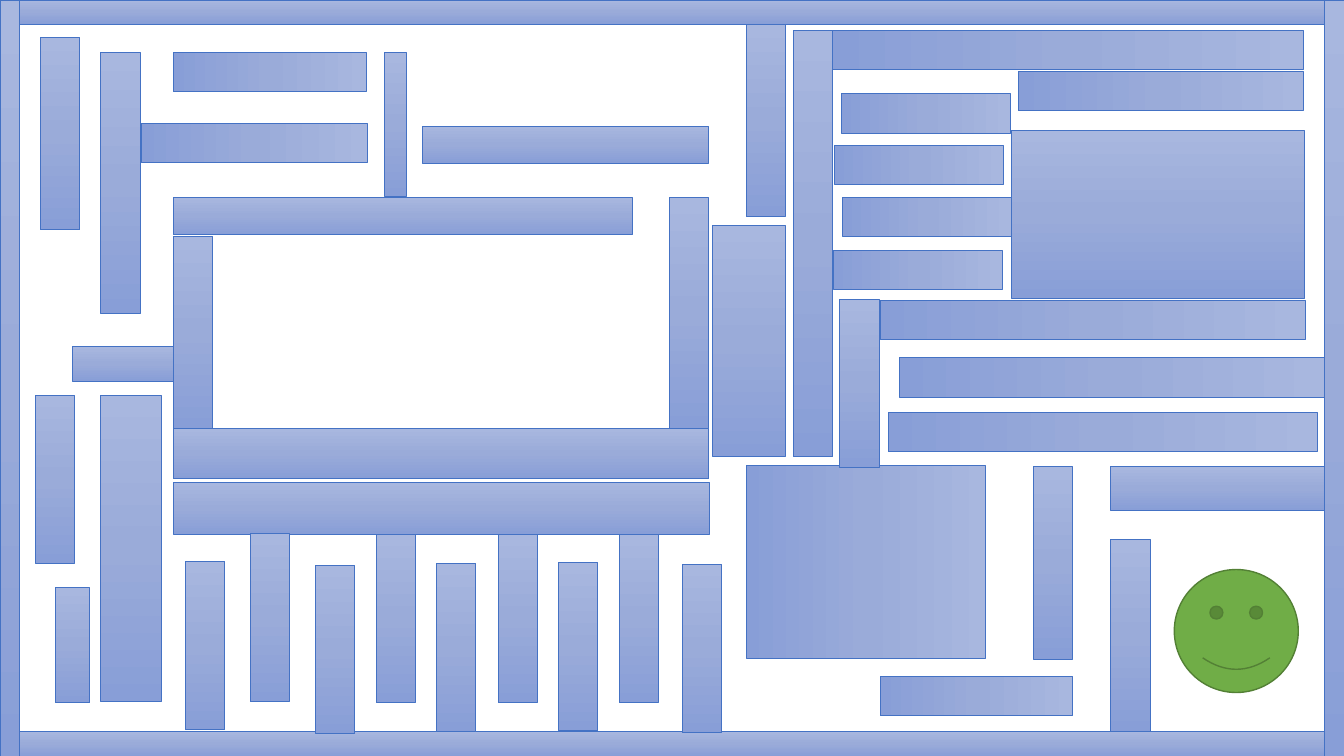
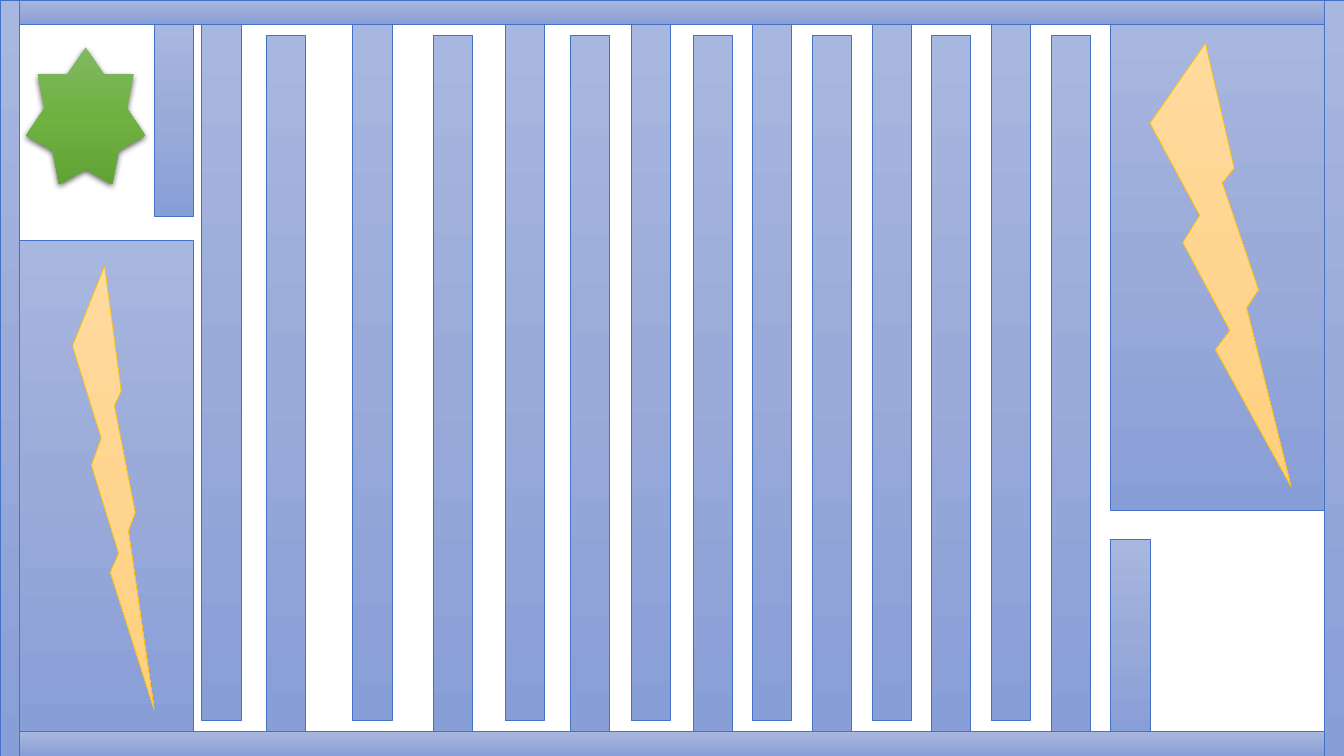
import copy
import itertools

import lxml.etree
import pptx
import pptx.dml.color
import pptx.enum.shapes
import pptx.oxml.ns
import pptx.util

RGB = pptx.dml.color.RGBColor
KIND = pptx.enum.shapes.MSO_SHAPE
qn = pptx.oxml.ns.qn

BLUES = [RGB(0xA8, 0xB7, 0xDF), RGB(0x9A, 0xAB, 0xD9), RGB(0x88, 0x9E, 0xD7)]
GOLDS = [RGB(0xFF, 0xDB, 0x9E), RGB(0xFF, 0xD5, 0x90), RGB(0xFF, 0xD0, 0x7C)]
GREENS = [RGB(0x81, 0xB8, 0x61), RGB(0x6F, 0xB2, 0x42), RGB(0x62, 0xA3, 0x36)]
BLUE = RGB(0x44, 0x72, 0xC4)
GOLD = RGB(0xFF, 0xC0, 0x00)
GREEN = RGB(0x70, 0xAD, 0x47)
MOSS = RGB(0x53, 0x80, 0x35)
BLACK = RGB(0, 0, 0)

COLS, ROWS = 133.33, 75
CELL = pptx.util.Inches(0.1)
SIDE, EDGE = 1.9, 2.4
BAR = 3.9


class Maze:
    def __init__(self):
        self.deck = pptx.Presentation()
        self.deck.slide_width = round(COLS * CELL)
        self.deck.slide_height = round(ROWS * CELL)

    def page(self):
        self.slide = self.deck.slides.add_slide(self.deck.slide_layouts[6])
        for top in (ROWS - EDGE, 0):
            self.wall(0, top, COLS, EDGE)
        for left in (0, COLS - SIDE):
            self.wall(left, 0, SIDE, ROWS)

    def shape(self, kind, box, fill, line=None, width=0.5):
        item = self.slide.shapes.add_shape(kind, *(round(n * CELL) for n in box))
        item.shadow.inherit = False
        if isinstance(fill, list):
            self.blend(item, fill)
        else:
            item.fill.solid()
            item.fill.fore_color.rgb = fill
        if line is None:
            item.line.fill.background()
        else:
            item.line.color.rgb = line
            item.line.width = pptx.util.Pt(width)
        return item

    def blend(self, item, tones):
        item.fill.gradient()
        item.fill.gradient_angle = 270
        stops = item._element.spPr.find(qn("a:gradFill")).find(qn("a:gsLst"))
        stops.append(copy.deepcopy(stops[-1]))
        for num, (stop, tone) in enumerate(zip(item.fill.gradient_stops, tones)):
            stop.position = num / 2
            stop.color.rgb = tone

    def wall(self, left, top, width, height):
        return self.shape(KIND.RECTANGLE, (left, top, width, height), BLUES, BLUE)

    def post(self, left, top, height):
        self.wall(left, top, BAR, height)

    def beam(self, left, top, width, height=BAR):
        shift = (width - height) / 2
        self.wall(left + shift, top - shift, height, width).rotation = 90

    def bolt(self, *box):
        self.shape(KIND.LIGHTNING_BOLT, box, GOLDS, GOLD)

    def smile(self, *box):
        self.shape(KIND.SMILEY_FACE, box, GREEN, MOSS, 1)

    def star(self, *box):
        item = self.shape(KIND.STAR_7_POINT, box, GREENS)
        glow = item._element.spPr.find(qn("a:effectLst"))
        drop = lxml.etree.SubElement(
            glow, qn("a:outerShdw"), blurRad=str(pptx.util.Pt(4.5)),
            dist=str(pptx.util.Pt(1.5)), dir="5400000", rotWithShape="0")
        tone = lxml.etree.SubElement(drop, qn("a:srgbClr"), val=str(BLACK))
        lxml.etree.SubElement(tone, qn("a:alpha"), val="63000")


def first(maze):
    maze.page()
    maze.beam(74, 46.2, 23.8, 19.1)
    for left, top, height in (
            (66.4, 19.6, 22.9), (17.2, 23.4, 19.1), (74, EDGE, 19.1),
            (10, 5.2, 25.9), (4, 3.7, 19.1), (110.2, 53.5, 19.1),
            (102.5, 46.3, 19.1), (3.5, 39.2, 16.7), (78.7, 3, 42.3),
            (83.3, 29.7, 16.7)):
        maze.post(left, top, height)
    for box in (
            (17.2, 42.5, 53.1, 5), (17.2, 19.6, 45.5, 3.7),
            (41.9, 12.5, 28.4, 3.7), (38.1, 5.2, 2.2, 14.3),
            (110.2, 46.3, 21.2, 4.3), (17.2, 47.9, 53.2, 5.1),
            (7.2, 34.4, 10, 3.4), (10, 39.2, 6, 30.4),
            (5.5, 58.3, 3.4, 11.4), (70.7, 22.4, 7.2, 22.9),
            (100.3, 12.9, 29.1, 16.7)):
        maze.wall(*box)
    teeth = (18.4, 24.8, 31.3, 37.3, 43.3, 49.4, 55.4, 61.4, 67.7)
    tops = (55.7, 52.9, 56.1, 53, 55.9, 53, 55.8, 53, 56)
    for left, top in zip(teeth, tops):
        maze.post(left, top, 16.7)
    for left, top, width in (
            (17.2, 5.2, 19.1), (14, 12.25, 22.4), (87.3, 67.1, 19.1),
            (82.7, 24.8, 16.7), (87.3, 29.8, 42.2), (83.6, 19.6, 16.7),
            (82.8, 14.4, 16.7), (83.5, 9.3, 16.7), (82.6, 3, 46.7),
            (101, 7.1, 28.3), (89.2, 35.5, 42.2), (88.1, 40.9, 42.6)):
        maze.beam(left, top, width)
    maze.smile(116.5, 56.5, 12.3, 12.2)


def second(maze):
    maze.page()
    maze.post(15.3, EDGE, 19.1)
    maze.post(110.2, 53.5, 19.1)
    maze.wall(110.2, EDGE, 21.2, 48.2)
    maze.wall(SIDE, 23.8, 17.3, 48.8)
    maze.bolt(7.2, 26.4, 8.1, 44)
    maze.bolt(114.1, 4.3, 14, 44)
    bars = (20, 26.4, 35, 43, 50.1, 56.6, 62.6, 68.8, 74.6, 80.6,
            86.5, 92.4, 98.3, 104.3)
    for left, top in zip(bars, itertools.cycle((EDGE, 3.5))):
        maze.post(left, top, 69.1)
    maze.star(2.6, 4.7, 11.8, 13.6)


def main():
    maze = Maze()
    first(maze)
    second(maze)
    maze.deck.save("out.pptx")


if __name__ == "__main__":
    main()
